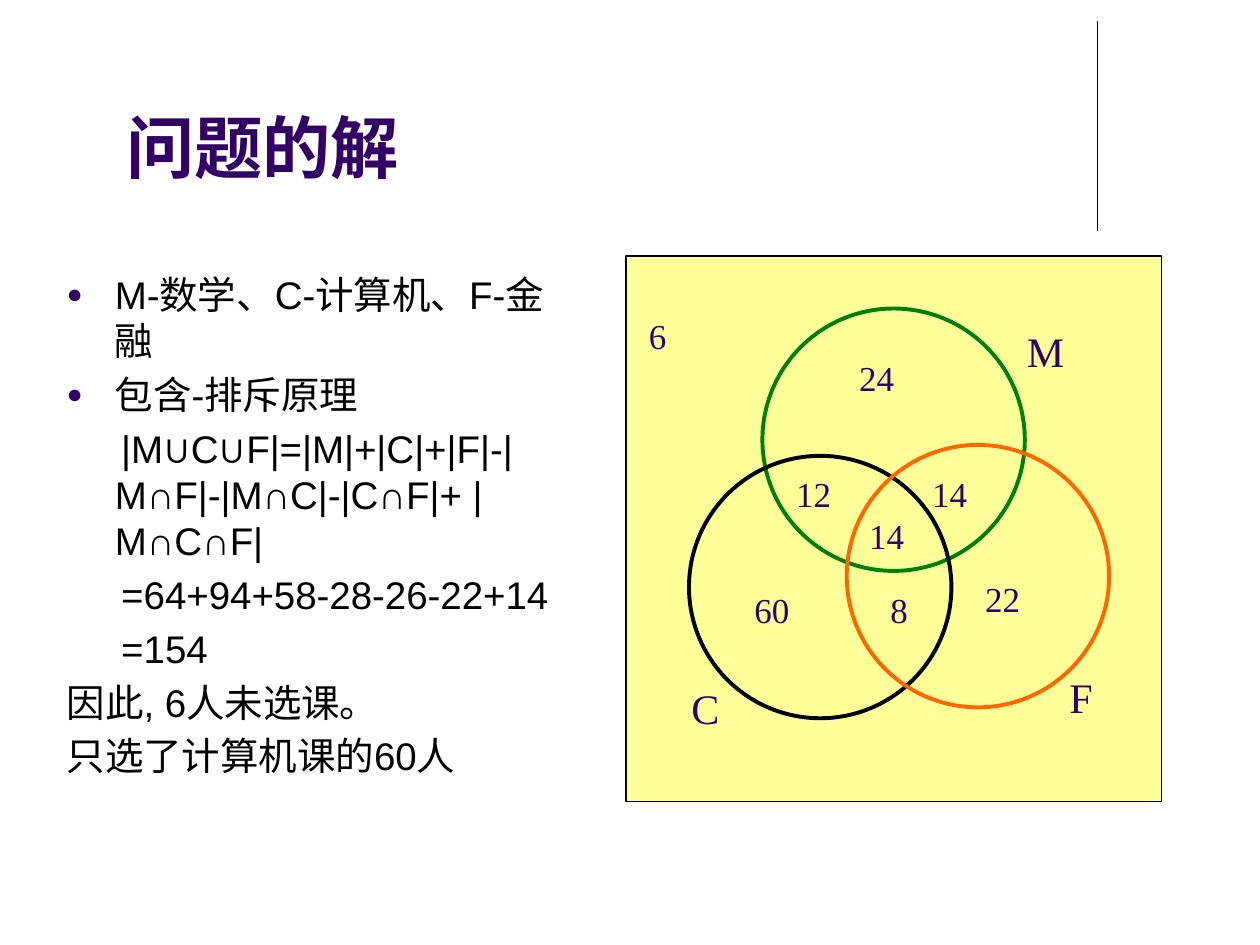
from dataclasses import dataclass

from lxml import etree
from pptx import Presentation
from pptx import util as u
from pptx.dml.color import RGBColor
from pptx.enum import shapes, text
from pptx.oxml import ns


@dataclass(frozen=True)
class Theme:
    purple: str = "330066"
    black: str = "000000"
    yellow: str = "FFFF99"
    green: str = "008000"
    orange: str = "FF6600"
    sans: str = "Arial"
    serif: str = "Times New Roman"
    title_size: int = 39
    body_size: int = 22
    set_size: int = 24
    count_size: int = 20
    thin: float = 0.75
    thick: float = 2.25


theme = Theme()


def add_styled_run(para, words, font, size, color, bold=False):
    span = para.add_run()
    span.text = words
    span.font.name = font
    span.font.size = u.Pt(size)
    span.font.bold = bold
    span.font.color.rgb = RGBColor.from_string(color)


def add_bullet_mark(para, tag, **attributes):
    """Append one bullet element to the paragraph properties and return it."""
    properties = para._p.get_or_add_pPr()
    return etree.SubElement(properties, ns.qn(tag), attributes)


deck = Presentation()
deck.slide_width, deck.slide_height = u.Cm(25.4), u.Cm(19.05)
page = deck.slides.add_slide(deck.slide_layouts[1])

# Vertical rule at the top right
rule = page.shapes.add_connector(
    shapes.MSO_CONNECTOR.STRAIGHT, u.Cm(22.12), u.Cm(0.43), u.Cm(22.12), u.Cm(4.65))
rule.line.color.rgb = RGBColor.from_string(theme.black)
rule.line.width = u.Pt(theme.thin)
etree.SubElement(rule._element.spPr, ns.qn("a:effectLst"))

# Universe of the Venn diagram
universe = page.shapes.add_shape(
    shapes.MSO_SHAPE.RECTANGLE, u.Cm(12.62), u.Cm(5.16), u.Cm(10.8), u.Cm(11))
universe.shadow.inherit = False
universe.fill.solid()
universe.fill.fore_color.rgb = RGBColor.from_string(theme.yellow)
universe.line.color.rgb = RGBColor.from_string(theme.black)
universe.line.width = u.Pt(theme.thin)

# Title
title = page.shapes.title
title.left, title.top, title.width, title.height = (
    u.Cm(2.29), u.Cm(1.52), u.Cm(10.85), u.Cm(2.39))
title.text_frame.auto_size = text.MSO_AUTO_SIZE.NONE
title.text_frame.vertical_anchor = text.MSO_ANCHOR.BOTTOM
para = title.text_frame.paragraphs[0]
para.alignment = text.PP_ALIGN.LEFT
add_styled_run(para, "问题的解", theme.sans, theme.title_size, theme.purple, bold=True)

# Solution: wording, first-line indent in cm, bulleted
hanging, formula = -0.97, 0.13
solution = [
    ("M-数学、C-计算机、F-金融", hanging, True),
    ("包含-排斥原理", hanging, True),
    ("|M∪C∪F|=|M|+|C|+|F|-|M∩F|-|M∩C|-|C∩F|+ |M∩C∩F|", formula, False),
    ("=64+94+58-28-26-22+14", formula, False),
    ("=154", formula, False),
    ("因此, 6人未选课。", hanging, False),
    ("只选了计算机课的60人", hanging, False),
]
body = page.placeholders[1]
body.left, body.top, body.width, body.height = (
    u.Cm(1.09), u.Cm(5.33), u.Cm(10.8), u.Cm(10.69))
body.text_frame.auto_size = text.MSO_AUTO_SIZE.NONE
for index, (words, indent, bulleted) in enumerate(solution):
    para = body.text_frame.paragraphs[0] if index == 0 else body.text_frame.add_paragraph()
    properties = para._p.get_or_add_pPr()
    properties.set("marL", str(u.Cm(0.97)))
    properties.set("indent", str(u.Cm(indent)))
    if bulleted:
        color = add_bullet_mark(para, "a:buClr")
        etree.SubElement(color, ns.qn("a:srgbClr"), val=theme.purple)
        add_bullet_mark(para, "a:buSzPct", val="70000")
        add_bullet_mark(para, "a:buFont", typeface=theme.sans)
        add_bullet_mark(para, "a:buChar", char="●")
    else:
        add_bullet_mark(para, "a:buNone")
    para.space_before = u.Pt(4.4 if index else 0)
    add_styled_run(para, words, theme.sans, theme.body_size, theme.black)

# Circles: left, top, colour
diameter = u.Cm(5.29)
circles = [
    (15.37, 6.22, theme.green),
    (13.89, 9.19, theme.black),
    (17.07, 8.97, theme.orange),
]
for left, top, color in circles:
    circle = page.shapes.add_shape(
        shapes.MSO_SHAPE.OVAL, u.Cm(left), u.Cm(top), diameter, diameter)
    circle.shadow.inherit = False
    circle.fill.background()
    circle.line.color.rgb = RGBColor.from_string(color)
    circle.line.width = u.Pt(theme.thick)

# Labels: wording, left, top, width, height, size
set_names = [("M", 20.45, 6.43), ("F", 21.31, 13.41), ("C", 13.69, 13.64)]
counts = [
    ("14", 17.27, 10.24), ("14", 18.54, 9.4), ("12", 15.8, 9.4), ("8", 17.7, 11.73),
    ("24", 17.07, 7.06), ("60", 14.96, 11.73), ("22", 19.61, 11.51), ("6", 12.83, 6.22),
]
labels = [(*name, 1.27, 1.27, theme.set_size) for name in set_names]
labels += [(*count, 1.47 if index == 0 else 2.54, 1.09, theme.count_size)
           for index, count in enumerate(counts)]
for words, left, top, width, height, size in labels:
    box = page.shapes.add_textbox(u.Cm(left), u.Cm(top), u.Cm(width), u.Cm(height))
    box.text_frame.word_wrap = True
    box.text_frame.auto_size = text.MSO_AUTO_SIZE.SHAPE_TO_FIT_TEXT
    add_styled_run(box.text_frame.paragraphs[0], words, theme.serif, size, theme.purple)

deck.save("out.pptx")
